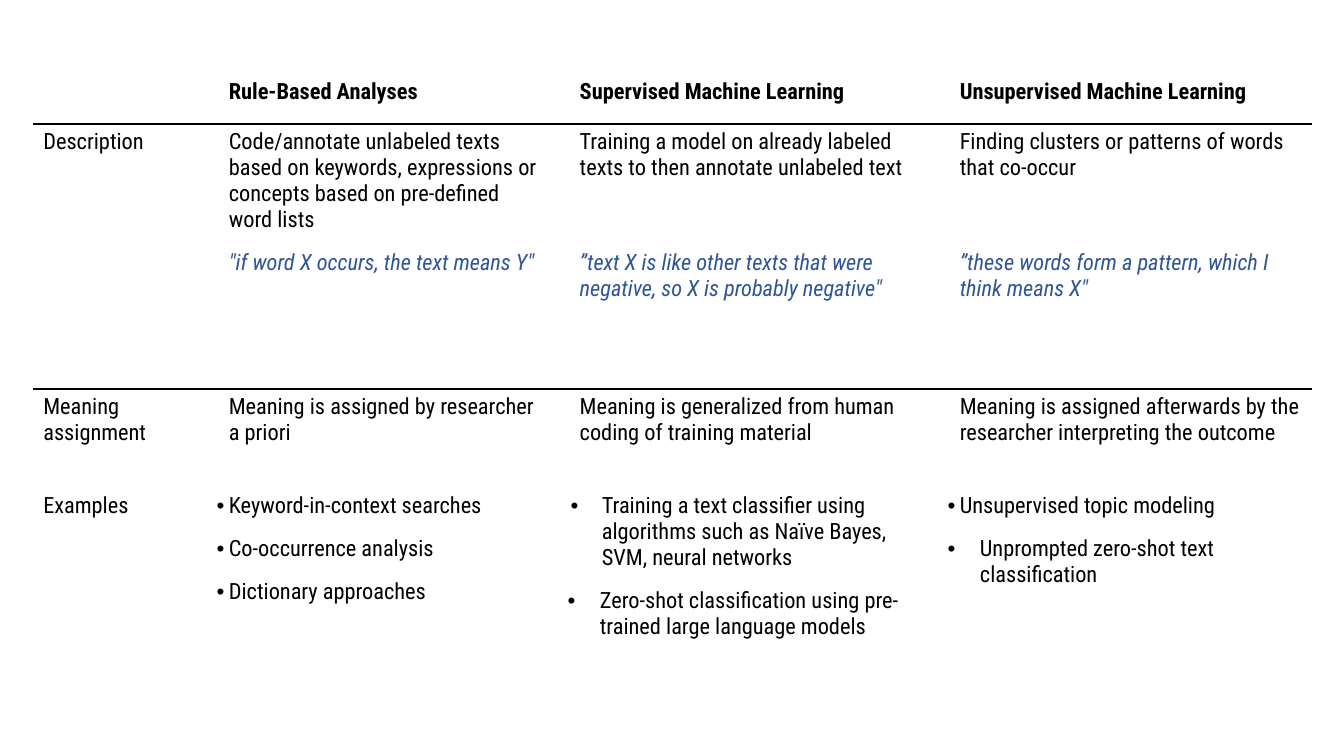
"""Build a slide with a table comparing three approaches to text analysis."""
from copy import deepcopy

from lxml import etree
from pptx import Presentation
from pptx.dml.color import RGBColor
from pptx.enum.text import MSO_ANCHOR
from pptx.oxml.ns import qn
from pptx.util import Inches, Pt

MIDDLE, TOP = MSO_ANCHOR.MIDDLE, MSO_ANCHOR.TOP
BLACK = RGBColor(0x00, 0x00, 0x00)
BLUE = RGBColor(0x2F, 0x55, 0x97)
FONT, SIZE, GAP = "Roboto Condensed", Pt(16), Pt(6)

LABEL, BODY = (0, 0), (0.12, 0)
TIGHT, WIDE, HANGING = (0.12, -0.31), (0.34, -0.31), (0.32, -0.32)
QUOTES = ('"', "”")

COLUMNS = [1.72, 3.48, 3.77, 3.71]
ROW_HEIGHTS = [0.63, 2.63, 0.98, 2.22, 0.63]
RULES_BELOW = (0, 1)

ROWS = [
    [
        [],
        [("Rule-Based Analyses", BODY)],
        [("Supervised Machine Learning", BODY)],
        [("Unsupervised Machine Learning", BODY)],
    ],
    [
        [("Description", LABEL)],
        [("Code/annotate unlabeled texts based on keywords, expressions or "
          "concepts based on pre-defined word lists", BODY),
         ('"if word X occurs, the text means Y"', BODY)],
        [("Training a model on already labeled texts to then annotate "
          "unlabeled text\n\n", BODY),
         ('”text X is like other texts that were negative, so X is '
          'probably negative"', BODY)],
        [("Finding clusters or patterns of words that co-occur", BODY),
         ('\n\n”these words form a pattern, which I think means X"', BODY)],
    ],
    [
        [("Meaning assignment", LABEL)],
        [("Meaning is assigned by researcher a priori", BODY)],
        [("Meaning is generalized from human coding of training material", BODY)],
        [("Meaning is assigned afterwards by the researcher interpreting "
          "the outcome", BODY)],
    ],
    [
        [("Examples", LABEL)],
        [("Keyword-in-context searches", TIGHT),
         ("Co-occurrence analysis", TIGHT),
         ("Dictionary approaches", TIGHT)],
        [("Training a text classifier using algorithms such as Naïve Bayes, "
          "SVM, neural networks", WIDE),
         ("Zero-shot classification using pre-trained large language models",
          HANGING)],
        [("Unsupervised topic modeling", TIGHT),
         ("Unprompted zero-shot text classification", HANGING)],
    ],
    [[], [], [], []],
]


def write_paragraph(p, text, indent, header):
    p.text = text
    left, first = indent
    pPr = p._p.get_or_add_pPr()
    pPr.set("marL", str(Inches(left)))
    pPr.set("indent", str(Inches(first)))
    if not header:
        p.space_before = p.space_after = GAP
    if first:
        etree.SubElement(pPr, qn("a:buFont")).set("typeface", "Arial")
        etree.SubElement(pPr, qn("a:buChar")).set("char", "•")
    quote = text.strip().startswith(QUOTES)
    for r in p.runs:
        r.font.name, r.font.size = FONT, SIZE
        r.font.bold, r.font.italic = header, quote
        r.font.color.rgb = BLUE if quote else BLACK
    rPr = p.runs[0]._r.rPr
    for br in p._p.findall(qn("a:br")):
        br.append(deepcopy(rPr))
    end = deepcopy(rPr)
    end.tag = qn("a:endParaRPr")
    p._p.append(end)


def draw_borders(cell, sides):
    tcPr = cell._tc.get_or_add_tcPr()
    for position, side in enumerate(sides):
        ln = etree.Element(qn("a:" + side), w=str(Pt(1)))
        fill = etree.SubElement(ln, qn("a:solidFill"))
        etree.SubElement(fill, qn("a:srgbClr")).set("val", str(BLACK))
        tcPr.insert(position, ln)


prs = Presentation()
prs.slide_width, prs.slide_height = Inches(13.33), Inches(7.5)
s = prs.slides.add_slide(prs.slide_layouts[6])
table = s.shapes.add_table(
    len(ROWS), len(COLUMNS), Inches(0.33), Inches(0.6),
    Inches(sum(COLUMNS)), Inches(sum(ROW_HEIGHTS))).table
table.first_row = table.horz_banding = False
for column, width in zip(table.columns, COLUMNS):
    column.width = Inches(width)

for i, (row, height) in enumerate(zip(ROWS, ROW_HEIGHTS)):
    table.rows[i].height = Inches(height)
    sides = [side for side, rule in (("lnT", i - 1), ("lnB", i))
             if rule in RULES_BELOW]
    for j, paragraphs in enumerate(row):
        cell = table.cell(i, j)
        cell.fill.background()
        cell.vertical_anchor = MIDDLE if i == 0 else TOP
        draw_borders(cell, sides)
        tf = cell.text_frame
        for k, (text, indent) in enumerate(paragraphs):
            p = tf.add_paragraph() if k else tf.paragraphs[0]
            write_paragraph(p, text, indent, i == 0)

prs.save("out.pptx")
